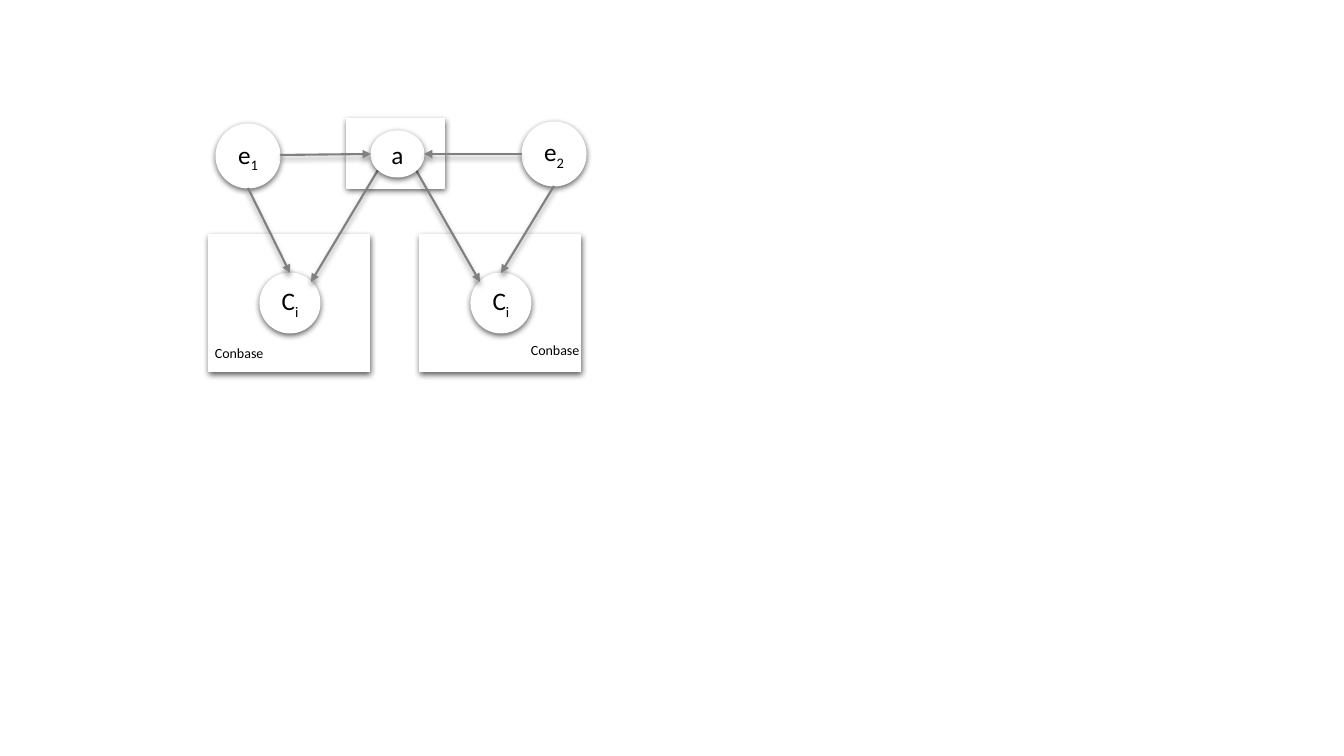
from lxml import etree
from pptx import Presentation
from pptx.dml.color import RGBColor
from pptx.enum.shapes import MSO_CONNECTOR, MSO_SHAPE
from pptx.enum.text import MSO_ANCHOR, MSO_AUTO_SIZE, PP_ALIGN
from pptx.oxml.ns import qn
from pptx.util import Emu, Pt

RECTANGLE, OVAL = MSO_SHAPE.RECTANGLE, MSO_SHAPE.OVAL
STRAIGHT = MSO_CONNECTOR.STRAIGHT
MIDDLE, CENTER = MSO_ANCHOR.MIDDLE, PP_ALIGN.CENTER
FIT_TEXT, FIXED = MSO_AUTO_SIZE.SHAPE_TO_FIT_TEXT, MSO_AUTO_SIZE.NONE

EMU_PER_PIXEL = 914400 / 100.8
WHITE, BLACK, GRAY = "FFFFFF", "000000", "808080"
FONT = "Calibri"
NODE_SHADOW = {"alpha": 63, "blur": 4.5, "distance": 1.5}
ARROW_SHADOW = {"alpha": 40, "blur": 4, "distance": 3}
NODE_FRAME = {"word_wrap": False, "vertical_anchor": MIDDLE, "auto_size": FIXED}
LABEL_FRAME = {"word_wrap": True, "auto_size": FIT_TEXT}
SUBSCRIPT = "-25000"
BASE_NAME = "Conbase"


def px(*lengths):
    return [Emu(round(length * EMU_PER_PIXEL)) for length in lengths]


def color(hex_code):
    return RGBColor.from_string(hex_code)


def apply(target, formats):
    for name, value in formats.items():
        setattr(target, name, value)


def add_shadow(shape_properties, alpha, blur, distance):
    effects = shape_properties.find(qn("a:effectLst"))
    if effects is None:
        effects = etree.SubElement(shape_properties, qn("a:effectLst"))
    shadow = etree.SubElement(
        effects, qn("a:outerShdw"), blurRad=str(Pt(blur)), dist=str(Pt(distance)),
        dir="5400000", algn="ctr", rotWithShape="0")
    tint = etree.SubElement(shadow, qn("a:srgbClr"), val=BLACK)
    etree.SubElement(tint, qn("a:alpha"), val=str(alpha * 1000))


def add_run(paragraph, text, size):
    run = paragraph.add_run()
    run.text = text
    apply(run.font, {"name": FONT, "size": Pt(size)})
    run.font.color.rgb = color(BLACK)
    return run


def add_panel(shapes, kind, box):
    panel = shapes.add_shape(kind, *px(*box))
    panel.fill.solid()
    panel.fill.fore_color.rgb = color(WHITE)
    panel.line.color.rgb = color(WHITE)
    panel.line.width = Pt(0.75)
    panel.shadow.inherit = False
    add_shadow(panel._element.spPr, **NODE_SHADOW)
    return panel


def add_node(shapes, box, letter, index=""):
    frame = add_panel(shapes, OVAL, box).text_frame
    apply(frame, NODE_FRAME)
    paragraph = frame.paragraphs[0]
    paragraph.alignment = CENTER
    add_run(paragraph, letter, 18)
    if index:
        subscript = add_run(paragraph, index, 18)
        subscript._r.get_or_add_rPr().set("baseline", SUBSCRIPT)


def add_label(shapes, box, text):
    frame = shapes.add_textbox(*px(*box)).text_frame
    apply(frame, LABEL_FRAME)
    add_run(frame.paragraphs[0], text, 10)


def add_concept_base(shapes, left, label_left, label_top):
    members = shapes.add_group_shape().shapes
    add_panel(members, RECTANGLE, (left, 235, 161, 137))
    add_node(members, (left + 51, 273, 60, 60), "C", "i")
    add_label(members, (label_left, label_top, 80, 27), BASE_NAME)


def add_arrow(shapes, start, end):
    arrow = shapes.add_connector(STRAIGHT, *px(*start, *end))
    arrow.line.color.rgb = color(GRAY)
    arrow.line.width = Pt(1.5)
    properties = arrow._element.spPr
    etree.SubElement(properties.find(qn("a:ln")), qn("a:tailEnd"), type="triangle")
    add_shadow(properties, **ARROW_SHADOW)


def main():
    deck = Presentation()
    deck.slide_width, deck.slide_height = px(1344, 756)
    shapes = deck.slides.add_slide(deck.slide_layouts[6]).shapes

    add_panel(shapes, RECTANGLE, (347, 119, 98, 69))
    add_node(shapes, (216, 124, 64, 64), "e", "1")
    add_node(shapes, (522, 122, 64, 64), "e", "2")
    add_concept_base(shapes, 209, 205, 340)
    add_concept_base(shapes, 420, 521, 337)

    for start, end in (((378, 170), (311, 282)), ((416, 170), (480, 282))):
        add_arrow(shapes, start, end)
    add_node(shapes, (371, 131, 53, 46), "a")
    for start, end in (
        ((280, 155), (371, 154)),
        ((522, 154), (424, 154)),
        ((554, 186), (501, 273)),
        ((248, 188), (290, 273)),
    ):
        add_arrow(shapes, start, end)

    deck.save("out.pptx")


main()
